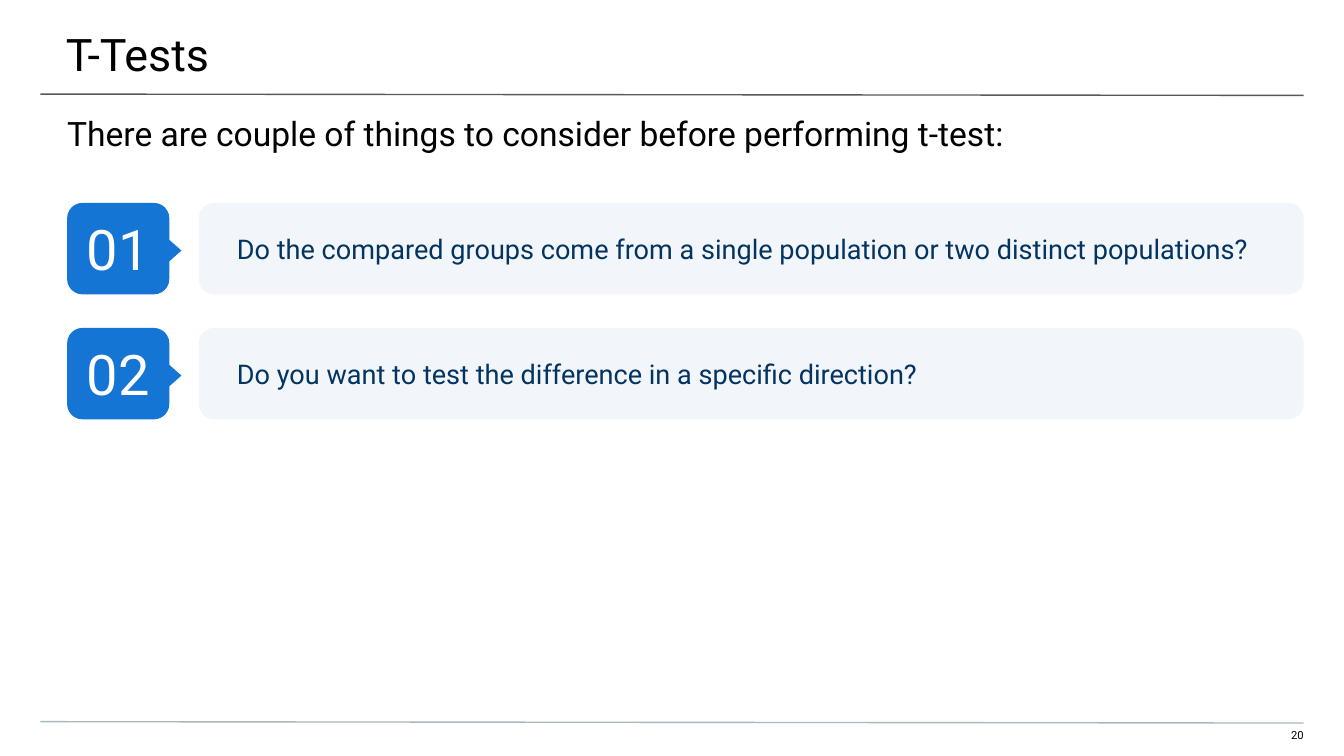
from pptx import Presentation
from pptx.dml.color import RGBColor
from pptx.enum.shapes import MSO_CONNECTOR, MSO_SHAPE
from pptx.enum.text import MSO_ANCHOR, MSO_AUTO_SIZE, PP_ALIGN
from pptx.oxml.ns import qn
from pptx.util import Pt
from lxml.etree import SubElement

TITLE = "T-Tests"
LEAD = "There are couple of things to consider before performing t-test:"
ITEMS = [
    ("01", "Do the compared groups come from a single population or two distinct populations?"),
    ("02", "Do you want to test the difference in a specific direction?"),
]
PAGE = "20"

THEME = {
    "font": "Roboto",
    "ink": "000000", "navy": "043461", "white": "FFFFFF",
    "blue": "1475D4", "pale": "F2F5F9",
    "rule": "595959", "foot": "A9B7C0",
    "title": 24, "lead": 18, "num": 30, "item": 14.5, "page": 6,
}
SCALE = 9144
WIDE = 1000
TOP, STEP, HIGH = 151, 93, 68
RULES = [(70, "rule"), (537, "foot")]


def px(n):
    return n * SCALE


def color(name):
    return RGBColor.from_string(THEME[name])


def place(shape, box):
    for key, n in zip(("left", "top", "width", "height"), box):
        setattr(shape, key, px(n))


def write(shape, text, size, ink, pads, align=PP_ALIGN.LEFT, anchor=MSO_ANCHOR.TOP):
    frame = shape.text_frame
    frame.text = text
    look = {"word_wrap": True, "auto_size": MSO_AUTO_SIZE.NONE, "vertical_anchor": anchor}
    look.update(zip(("margin_left", "margin_top", "margin_right", "margin_bottom"), map(px, pads)))
    para = frame.paragraphs[0]
    font = {"name": THEME["font"], "size": Pt(THEME[size]), "bold": False}
    for part, values in (
        (frame, look),
        (para, {"alignment": align, "space_before": Pt(0)}),
        (para.font, font),
    ):
        for key, value in values.items():
            setattr(part, key, value)
    para.font.color.rgb = color(ink)


def block(slide, kind, box, fill):
    shape = slide.shapes.add_shape(kind, *map(px, box))
    shape.shadow.inherit = False
    shape.fill.solid()
    shape.fill.fore_color.rgb = color(fill)
    shape.line.fill.background()
    return shape


def rule(slide, y, ink):
    line = slide.shapes.add_connector(MSO_CONNECTOR.STRAIGHT, px(30), px(y), px(970), px(y + 1))
    line.line.color.rgb = color(ink)
    line.line.width = Pt(0.75)
    SubElement(line._element.spPr, qn("a:effectLst"))


def row(slide, y, num, text):
    card = block(slide, MSO_SHAPE.ROUNDED_RECTANGLE, (148, y, 822, HIGH), "pale")
    write(card, text, "item", "navy", (25, 10, 10, 10), anchor=MSO_ANCHOR.MIDDLE)
    badge = block(slide, MSO_SHAPE.ROUNDED_RECTANGLE, (50, y, 76, HIGH), "blue")
    write(badge, num, "num", "white", (10, 10, 10, 10), PP_ALIGN.CENTER, MSO_ANCHOR.MIDDLE)
    tip = block(slide, MSO_SHAPE.FLOWCHART_EXTRACT, (106, y + 25, 37, 21), "blue")
    tip.rotation = 90


def main():
    deck = Presentation()
    deck.slide_width, deck.slide_height = px(WIDE), px(WIDE) * 9 // 16
    slide = deck.slides.add_slide(deck.slide_layouts[0])
    for y, ink in RULES:
        rule(slide, y, ink)
    title, lead = slide.shapes.title, slide.placeholders[1]
    place(title, (-1, 0, 1003, 58))
    write(title, TITLE, "title", "ink", (50, 20, 30, 10))
    place(lead, (0, 74, WIDE, 40))
    write(lead, LEAD, "lead", "ink", (50, 10, 50, 0))
    for i, (num, text) in enumerate(ITEMS):
        row(slide, TOP + i * STEP, num, text)
    page = slide.shapes.add_textbox(*map(px, (941, 542, 29, 12)))
    write(page, PAGE, "page", "ink", (0, 0, 0, 10), PP_ALIGN.RIGHT)
    deck.save("out.pptx")


if __name__ == "__main__":
    main()
